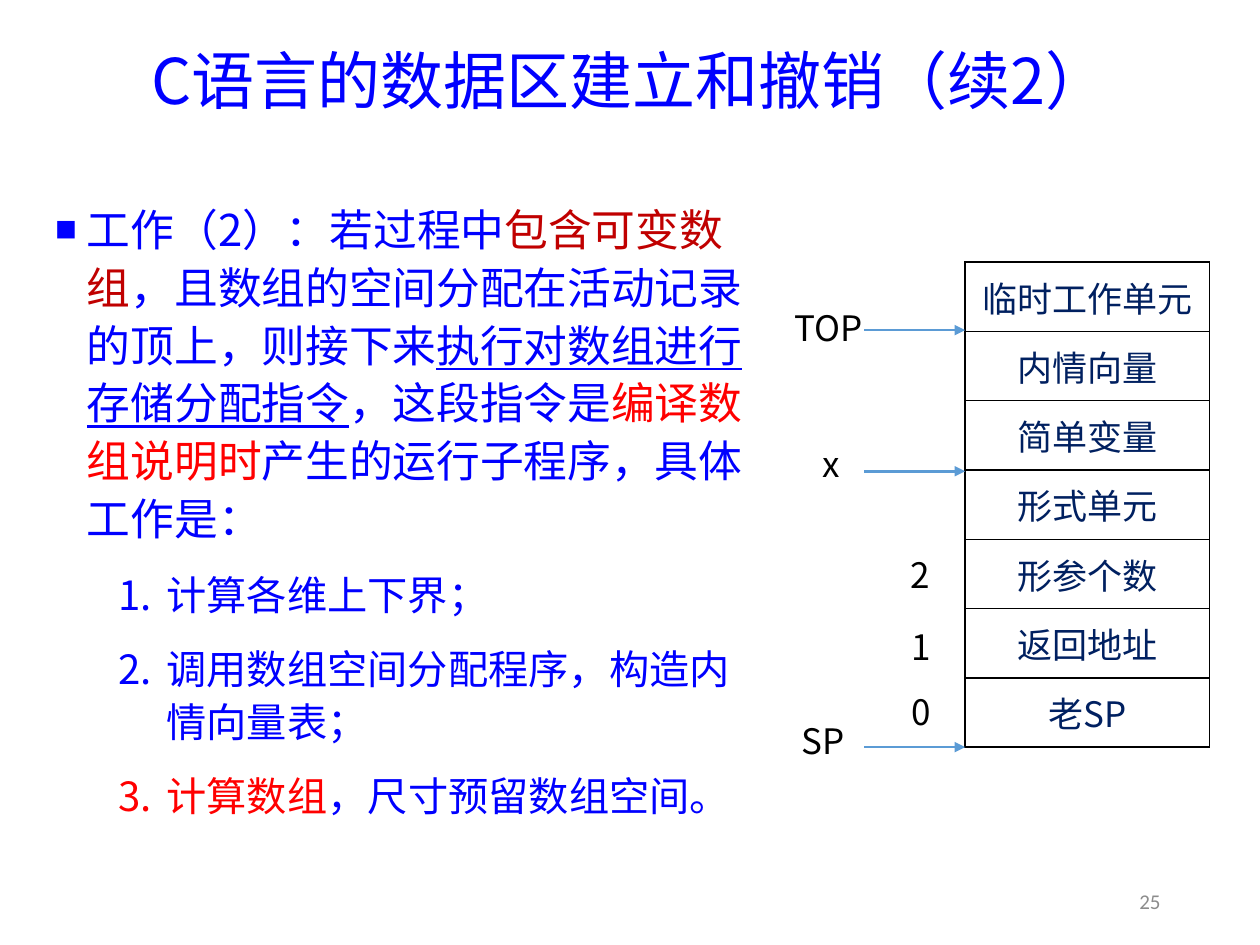
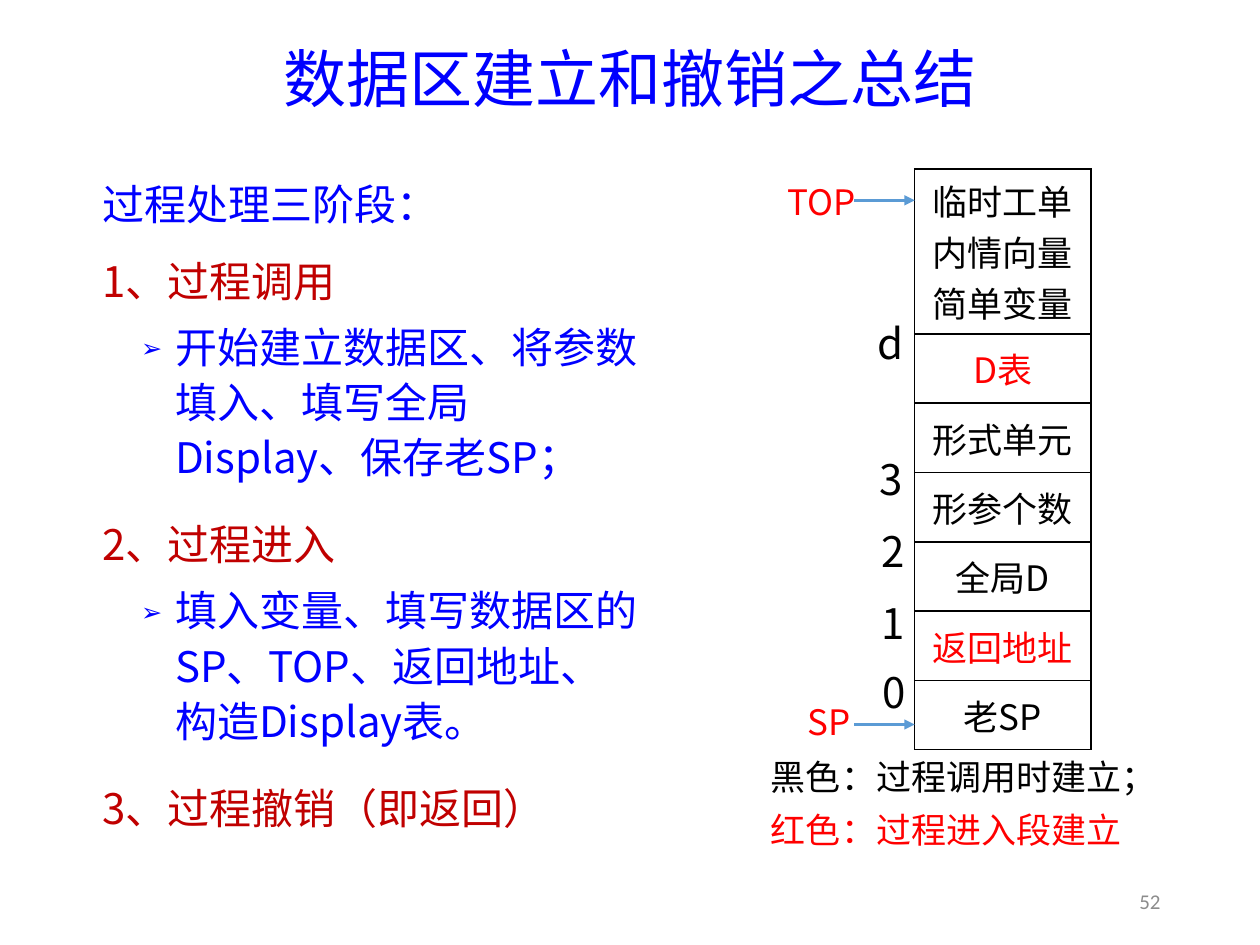
from lxml.etree import SubElement
from pptx import Presentation
from pptx.dml.color import RGBColor
from pptx.enum.shapes import MSO_CONNECTOR as CONNECTOR
from pptx.enum.text import MSO_ANCHOR as ANCHOR, MSO_AUTO_SIZE as AUTO_SIZE, PP_ALIGN as ALIGN
from pptx.oxml import parse_xml
from pptx.oxml.ns import nsdecls, qn
from pptx.util import Inches, Pt

COLORS = {
    "blue": "0000FF", "dark_red": "C00000", "red": "FF0000", "navy": "002060",
    "black": "000000", "gray": "8C8C8C", "arrow": "5B9BD5",
}
TITLE_FONT, TEXT_FONT, NUMBER_FONT = "Noto Sans CJK JP", "Noto Sans CJK SC", "Calibri"
ROW_HEIGHT = 0.55
LABEL_WIDTH, LABEL_HEIGHT = 0.97, 0.5

SQUARE = {"indent": (0.25, -0.25), "bullet": "■", "bullet_size": 50}
NUMBERED = {"level": 1, "indent": (0.88, -0.38), "size": 23, "bullet": "1."}
ARROW_ITEM = {"level": 1, "indent": (0.58, -0.27), "after": 12,
              "bullet": "➢", "bullet_size": 60}
STAGE = {"after": 0}

SLIDES = [
    {
        "title": "C语言的数据区建立和撤销（续2）",
        "title_box": (0.69, 0.24, 8.62, 0.86),
        "number": "25",
        "body_box": (0.34, 1.52, 5.69, 5.18),
        "body_anchor": ANCHOR.TOP,
        "body_size": 25,
        "body": [
            (SQUARE, [
                ("工作（2）：若过程中", "blue"),
                ("包含可变数组", "dark_red"),
                ("，且数组的空间分配在活动记录的顶上，则接下来", "blue"),
                ("执行对数组进行存储分配指令", "blue", True),
                ("，这段指令是", "blue"),
                ("编译数组说明时", "red"),
                ("产生的运行子程序，具体工作是：", "blue"),
            ]),
            (NUMBERED, [("计算各维上下界；", "blue")]),
            (NUMBERED, [("调用数组空间分配程序，构造内情向量表；", "blue")]),
            (NUMBERED, [("计算数组", "red"), ("，尺寸预留数组空间。", "blue")]),
        ],
        "stack_box": (7.66, 2.08, 1.94),
        "stack": [(["临时工作单元"], "navy"), (["内情向量"], "navy"),
                  (["简单变量"], "navy"), (["形式单元"], "navy"),
                  (["形参个数"], "navy"), (["返回地址"], "navy"),
                  (["老SP"], "navy")],
        "first_row": ROW_HEIGHT,
        "pointers": [2.62, 3.74, 5.93],
        "pointer_length": 0.8,
        "labels": [
            ("TOP", 6.58, 2.6, 20, "black"), ("x", 6.6, 3.68, 20, "black"),
            ("SP", 6.53, 5.88, 20, "black"), ("2", 7.3, 4.56, 20, "black"),
            ("1", 7.31, 5.13, 20, "black"), ("0", 7.31, 5.65, 20, "black"),
        ],
        "legend": [],
    },
    {
        "title": "数据区建立和撤销之总结",
        "title_box": (0.69, 0.3, 8.62, 0.71),
        "number": "52",
        "body_box": (0.71, 1.32, 4.5, 5.35),
        "body_anchor": ANCHOR.MIDDLE,
        "body_size": 24,
        "body": [
            ({}, [("过程处理三阶段：", "blue")]),
            (STAGE, [("1、过程调用", "dark_red")]),
            (ARROW_ITEM, [("开始建立数据区、将参数填入、填写全局Display、保存老SP；", "blue")]),
            (STAGE, [("2、过程进入", "dark_red")]),
            (ARROW_ITEM, [("填入变量、填写数据区的SP、TOP、返回地址、构造Display表。", "blue")]),
            ({}, [("3、过程撤销（即返回）", "dark_red")]),
        ],
        "stack_box": (7.26, 1.34, 1.4),
        "stack": [(["临时工单", "内情向量", "简单变量"], "black"), (["D表"], "red"),
                  (["形式单元"], "black"), (["形参个数"], "black"),
                  (["全局D"], "black"), (["返回地址"], "red"), (["老SP"], "black")],
        "first_row": 1.31,
        "pointers": [1.59, 5.75],
        "pointer_length": 0.48,
        "labels": [
            ("TOP", 6.52, 1.6, 20, "red"), ("SP", 6.58, 5.73, 20, "red"),
            ("d", 7.07, 2.72, 24, "black"), ("3", 7.07, 3.8, 24, "black"),
            ("2", 7.09, 4.37, 24, "black"), ("1", 7.09, 4.94, 24, "black"),
            ("0", 7.1, 5.49, 24, "black"),
        ],
        "legend": [("黑色：过程调用时建立；", "black"), ("红色：过程进入段建立", "red")],
    },
]


def rgb(color):
    return RGBColor.from_string(COLORS[color])


def add_run(paragraph, text, size, color, font=TEXT_FONT, underline=None):
    run = paragraph.add_run()
    run.text = text
    run.font.size = Pt(size)
    run.font.color.rgb = rgb(color)
    run.font.underline = underline
    run.font.name = font
    latin = run.font._element.find(qn("a:latin"))
    latin.addnext(parse_xml(f'<a:ea {nsdecls("a")} typeface="{font}"/>'))


def next_paragraph(frame, index):
    return frame.add_paragraph() if index else frame.paragraphs[0]


def place(shape, box):
    shape.left, shape.top, shape.width, shape.height = map(Inches, box)


def set_frame(frame, anchor=ANCHOR.MIDDLE):
    frame.word_wrap = True
    frame.auto_size = AUTO_SIZE.NONE
    frame.vertical_anchor = anchor


def add_text(slide, box, lines, size, align, font=TEXT_FONT, after=0):
    frame = slide.shapes.add_textbox(*map(Inches, box)).text_frame
    set_frame(frame)
    for index, (text, color) in enumerate(lines):
        paragraph = next_paragraph(frame, index)
        paragraph.alignment = align
        paragraph.space_after = Pt(after)
        add_run(paragraph, text, size, color, font)


def set_bullet(paragraph, style):
    properties = paragraph._p.get_or_add_pPr()
    margin, indent = style.get("indent", (0, 0))
    properties.set("marL", str(Inches(margin)))
    properties.set("indent", str(Inches(indent)))
    bullet = style.get("bullet")
    if bullet is None:
        SubElement(properties, qn("a:buNone"))
        return
    if "bullet_size" in style:
        SubElement(properties, qn("a:buSzPct"), val=str(style["bullet_size"] * 1000))
    SubElement(properties, qn("a:buFont"), typeface=TEXT_FONT)
    if bullet == "1.":
        SubElement(properties, qn("a:buAutoNum"), type="arabicPeriod")
    else:
        SubElement(properties, qn("a:buChar"), char=bullet)


def fill_title(slide, content):
    title = slide.shapes.title
    place(title, content["title_box"])
    set_frame(title.text_frame)
    paragraph = title.text_frame.paragraphs[0]
    paragraph.alignment = ALIGN.CENTER
    paragraph.line_spacing = 0.9
    add_run(paragraph, content["title"], 36, "blue", TITLE_FONT)


def fill_body(slide, content):
    body = slide.placeholders[1]
    place(body, content["body_box"])
    set_frame(body.text_frame, content["body_anchor"])
    for index, (style, runs) in enumerate(content["body"]):
        paragraph = next_paragraph(body.text_frame, index)
        paragraph.level = style.get("level", 0)
        paragraph.alignment = ALIGN.LEFT
        paragraph.line_spacing = 1.1
        paragraph.space_before = Pt(6)
        paragraph.space_after = Pt(style.get("after", 6))
        set_bullet(paragraph, style)
        for text, color, *underline in runs:
            add_run(paragraph, text, style.get("size", content["body_size"]), color,
                    underline=bool(underline))


def set_borders(cell):
    properties = cell._tc.get_or_add_tcPr()
    for position, side in enumerate(("lnL", "lnR", "lnT", "lnB")):
        properties.insert(position, parse_xml(
            f'<a:{side} {nsdecls("a")} w="12700"><a:solidFill>'
            f'<a:srgbClr val="{COLORS["black"]}"/></a:solidFill></a:{side}>'))


def add_stack(slide, content):
    left, top, width = content["stack_box"]
    heights = [content["first_row"]] + [ROW_HEIGHT] * (len(content["stack"]) - 1)
    stack = slide.shapes.add_table(
        len(heights), 1, *map(Inches, (left, top, width, sum(heights)))).table
    stack.first_row = stack.horz_banding = False
    for row, (height, (lines, color)) in enumerate(zip(heights, content["stack"])):
        stack.rows[row].height = Inches(height)
        cell = stack.cell(row, 0)
        cell.vertical_anchor = ANCHOR.MIDDLE
        cell.fill.background()
        set_borders(cell)
        for index, line in enumerate(lines):
            paragraph = next_paragraph(cell.text_frame, index)
            paragraph.alignment = ALIGN.CENTER
            add_run(paragraph, line, 20, color)


def add_pointers(slide, content):
    end = content["stack_box"][0]
    start = end - content["pointer_length"]
    for y in content["pointers"]:
        pointer = slide.shapes.add_connector(
            CONNECTOR.STRAIGHT, *map(Inches, (start, y, end, y)))
        pointer.line.color.rgb = rgb("arrow")
        pointer.line.width = Pt(1.5)
        SubElement(pointer.line._get_or_add_ln(), qn("a:tailEnd"), type="triangle")
        SubElement(pointer._element.spPr, qn("a:effectLst"))


def add_labels(slide, content):
    for text, x, y, size, color in content["labels"]:
        box = (x - LABEL_WIDTH / 2, y - LABEL_HEIGHT / 2, LABEL_WIDTH, LABEL_HEIGHT)
        add_text(slide, box, [(text, color)], size, ALIGN.CENTER)
    if content["legend"]:
        add_text(slide, (6.02, 5.96, 3.31, 0.83), content["legend"], 20, ALIGN.LEFT, after=6)


def main():
    deck = Presentation()
    deck.slide_width, deck.slide_height = Inches(10), Inches(7.5)
    for content in SLIDES:
        slide = deck.slides.add_slide(deck.slide_layouts[1])
        fill_title(slide, content)
        fill_body(slide, content)
        add_stack(slide, content)
        add_pointers(slide, content)
        add_labels(slide, content)
        add_text(slide, (7.06, 6.95, 2.25, 0.4), [(content["number"], "gray")], 12,
                 ALIGN.RIGHT, NUMBER_FONT)
    deck.save("out.pptx")


if __name__ == "__main__":
    main()
